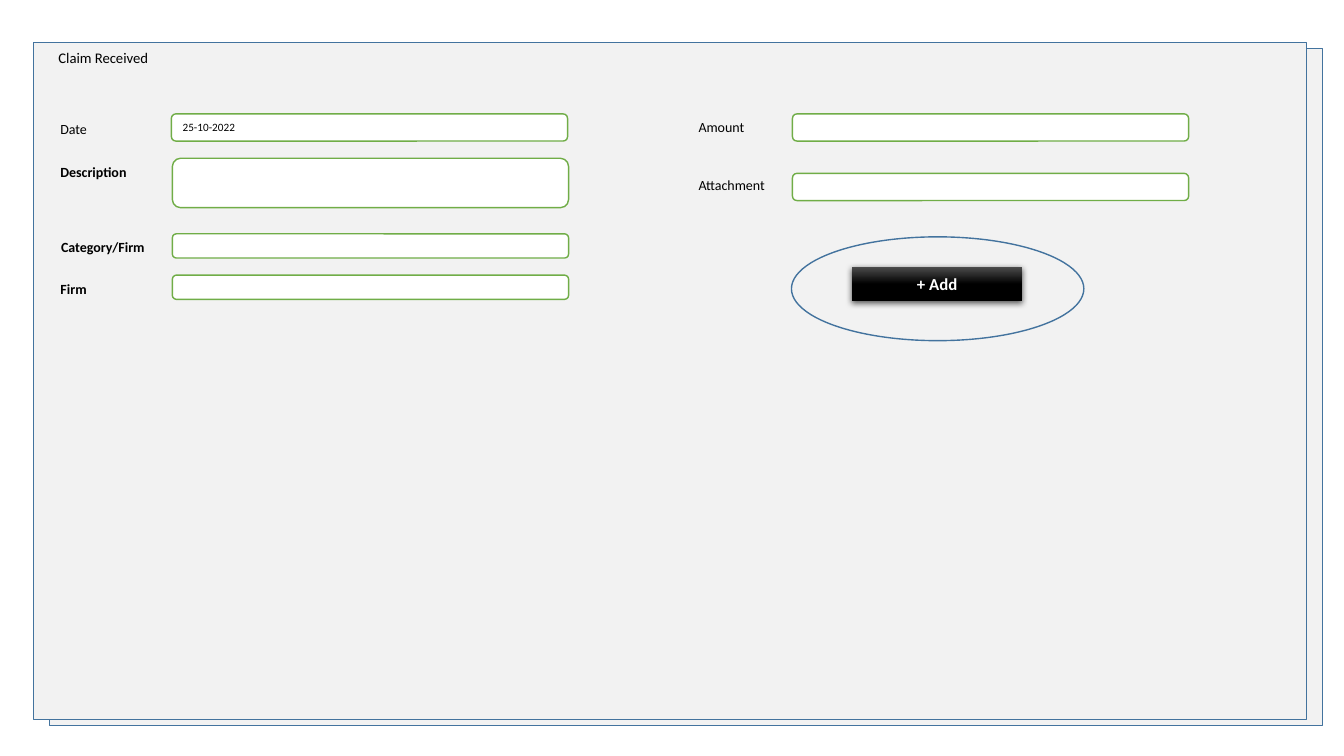
from lxml import etree
from pptx import Presentation
from pptx.dml.color import RGBColor
from pptx.enum.shapes import MSO_SHAPE
from pptx.enum.text import MSO_ANCHOR, MSO_AUTO_SIZE, PP_ALIGN
from pptx.oxml.ns import qn
from pptx.util import Pt

RECT, ROUND, OVAL = MSO_SHAPE.RECTANGLE, MSO_SHAPE.ROUNDED_RECTANGLE, MSO_SHAPE.OVAL
LEFT, CENTER = PP_ALIGN.LEFT, PP_ALIGN.CENTER
TOP, MIDDLE = MSO_ANCHOR.TOP, MSO_ANCHOR.MIDDLE
GROW = MSO_AUTO_SIZE.SHAPE_TO_FIT_TEXT
PX = 9144


def rgb(value):
    return RGBColor.from_string(value)


def write(tf, text, size=10, color="000000", bold=False, align=LEFT, anchor=TOP, font="Calibri"):
    tf.word_wrap = True
    tf.vertical_anchor = anchor
    p = tf.paragraphs[0]
    p.alignment = align
    r = p.add_run()
    r.text = text
    r.font.name, r.font.size, r.font.bold = font, Pt(size), bold
    r.font.color.rgb = rgb(color)


class Form:
    PANEL, BLUE, GREEN, WHITE, BLACK = "F2F2F2", "43739E", "70AD47", "FFFFFF", "000000"

    def __init__(self, slide):
        self.s = slide

    def shape(self, kind, x, y, w, h, fill=None, line=None):
        sp = self.s.shapes.add_shape(kind, x * PX, y * PX, w * PX, h * PX)
        sp.shadow.inherit = False
        if fill:
            sp.fill.solid()
            sp.fill.fore_color.rgb = rgb(fill)
        else:
            sp.fill.background()
        if line:
            sp.line.color.rgb = rgb(line)
            sp.line.width = Pt(1)
        else:
            sp.line.fill.background()
        return sp

    def title(self, text, x, y, w, h):
        sp = self.s.shapes.title
        sp.left, sp.top, sp.width, sp.height = x * PX, y * PX, w * PX, h * PX
        write(sp.text_frame, text, size=10.5)
        sp.text_frame.auto_size = GROW
        self.s.shapes._spTree.append(sp._element)

    def label(self, text, x, y, **style):
        sp = self.s.shapes.add_textbox(x * PX, y * PX, 120 * PX, 27 * PX)
        write(sp.text_frame, text, **style)
        sp.text_frame.auto_size = GROW

    def field(self, x, y, h, value=""):
        sp = self.shape(ROUND, x, y, 393, h, self.WHITE, self.GREEN)
        if value:
            write(sp.text_frame, value, size=8, anchor=MIDDLE)

    def button(self, text, x, y, w, h):
        sp = self.shape(RECT, x, y, w, h)
        sp.fill.gradient()
        sp.fill.gradient_angle = 270
        for stop, color, position in zip(sp.fill.gradient_stops, ("4B4B4B", self.BLACK), (0, 0.5)):
            stop.color.rgb = rgb(color)
            stop.position = position
        effects = sp._element.spPr.find(qn("a:effectLst"))
        shadow = etree.SubElement(effects, qn("a:outerShdw"), blurRad=str(Pt(4.5)),
                                  dist=str(Pt(1.5)), dir="5400000", algn="ctr", rotWithShape="0")
        color = etree.SubElement(shadow, qn("a:srgbClr"), val=self.BLACK)
        etree.SubElement(color, qn("a:alpha"), val="63000")
        write(sp.text_frame, text, size=12, color=self.WHITE, bold=True, align=CENTER, anchor=MIDDLE)


def main():
    prs = Presentation()
    prs.slide_width, prs.slide_height = 1333 * PX, 750 * PX
    form = Form(prs.slides.add_slide(prs.slide_layouts[5]))

    for x, y in ((49, 48), (33, 42)):
        form.shape(RECT, x, y, 1263, 672, form.PANEL, form.BLUE)
    form.title("Claim Received", 48, 43, 261, 29)

    rows = (
        ("Date", 50, 115, False, LEFT, 170, 113, 27, "25-10-2022"),
        ("Description", 50, 157, True, LEFT, 171, 157, 49, ""),
        ("Category/Firm", 42, 232, True, CENTER, 171, 232, 24, ""),
        ("Firm", 13, 273, True, CENTER, 171, 273, 24, ""),
        ("Amount", 683, 113, False, LEFT, 786, 113, 27, ""),
        ("Attachment", 683, 170, False, LEFT, 786, 172, 27, ""),
    )
    for text, x, y, bold, align, field_x, field_y, h, value in rows:
        form.field(field_x, field_y, h, value)
        form.label(text, x, y, bold=bold, align=align)

    form.button("+ Add", 845, 265, 169, 34)
    form.shape(OVAL, 785, 235, 290, 103, line=form.BLUE)
    prs.save("out.pptx")


if __name__ == "__main__":
    main()
